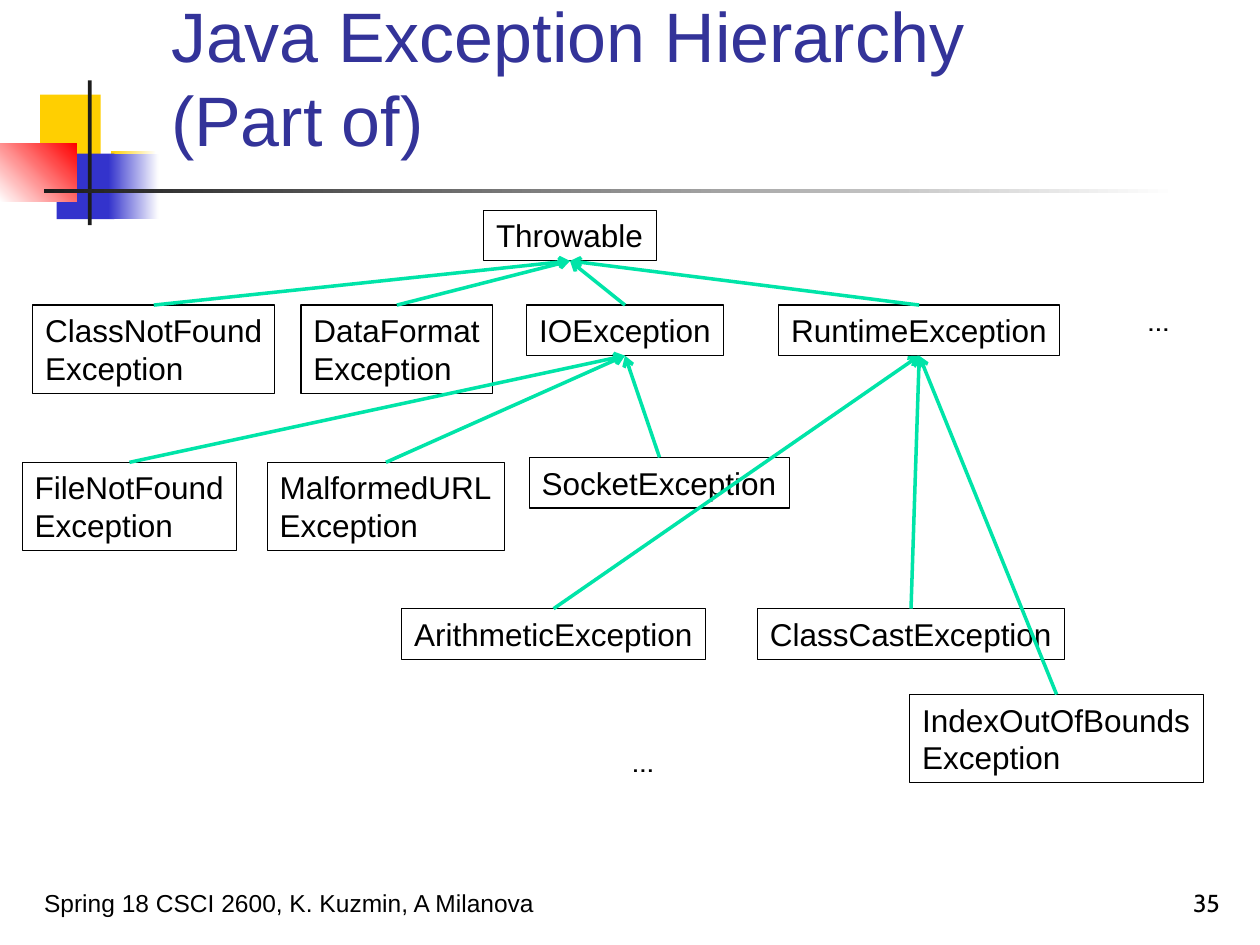
from typing import NamedTuple, Optional

from lxml import etree
from pptx import Presentation
from pptx.dml.color import RGBColor
from pptx.enum.shapes import MSO_CONNECTOR, MSO_SHAPE
from pptx.enum.text import MSO_ANCHOR, MSO_AUTO_SIZE, PP_ALIGN
from pptx.oxml.ns import qn
from pptx.util import Cm, Pt

RECT = MSO_SHAPE.RECTANGLE
STRAIGHT = MSO_CONNECTOR.STRAIGHT
TOP, BOTTOM = MSO_ANCHOR.TOP, MSO_ANCHOR.BOTTOM
LEFT, RIGHT = PP_ALIGN.LEFT, PP_ALIGN.RIGHT
FIT_SHAPE = MSO_AUTO_SIZE.SHAPE_TO_FIT_TEXT

BLACK = RGBColor(0x00, 0x00, 0x00)
WHITE = RGBColor(0xFF, 0xFF, 0xFF)
YELLOW = RGBColor(0xFF, 0xCF, 0x01)
BLUE = RGBColor(0x33, 0x33, 0xCC)
RED = RGBColor(0xFF, 0x00, 0x00)
CHARCOAL = RGBColor(0x1C, 0x1C, 0x1C)
NAVY = RGBColor(0x33, 0x33, 0x99)
GREEN = RGBColor(0x00, 0xE4, 0xA8)

LINE_HEIGHT = 0.76
BOX_PADDING = 0.26
RIGHT_INSET = 0.1
TOP_SITE, BOTTOM_SITE = 0, 2


class Block(NamedTuple):
    left: float
    top: float
    width: float
    height: float
    color: RGBColor
    end: Optional[RGBColor] = None
    angle: float = 0


class Label(NamedTuple):
    text: str
    left: float
    top: float
    width: float
    height: float
    size: float
    font: str = "Arial"
    color: RGBColor = BLACK
    anchor: MSO_ANCHOR = BOTTOM
    align: PP_ALIGN = LEFT
    wrap: bool = True


class ClassBox(NamedTuple):
    name: str
    left: float
    top: float
    width: float
    parent: Optional[str] = None


BLOCKS = [
    Block(0.81, 1.91, 1.22, 1.32, YELLOW),
    Block(2.24, 3.05, 0.91, 1.32, YELLOW, WHITE),
    Block(1.14, 3.1, 1.17, 1.32, BLUE),
    Block(2.18, 3.1, 1.02, 1.32, BLUE, WHITE),
    Block(0, 2.9, 1.55, 1.17, WHITE, RED, 45),
    Block(1.77, 1.62, 0.08, 2.92, CHARCOAL),
    Block(0.89, 3.81, 22.86, 0.08, CHARCOAL, WHITE),
]

LABELS = [
    Label("Java Exception Hierarchy \n(Part of)", 3.2, 0.58, 21.64, 2.79, 40,
          color=NAVY),
    Label("Spring 18 CSCI 2600, K. Kuzmin, A Milanova",
          0.64, 17.35, 13.13, 1.27, 14),
    Label("35", 19.56, 17.35, 5.28, 1.27, 14, "Cabin", align=RIGHT),
    Label("…", 22.89, 5.92, 1.02, 1.02, 18, "Cabin", anchor=TOP, wrap=False),
    Label("…", 12.5, 14.81, 1.02, 1.02, 18, "Cabin", anchor=TOP, wrap=False),
]

CLASSES = [
    ClassBox("Throwable", 9.75, 4.24, 3.48),
    ClassBox("ClassNotFound\nException", 0.66, 6.15, 4.88, "Throwable"),
    ClassBox("DataFormat\nException", 6.07, 6.15, 3.86, "Throwable"),
    ClassBox("IOException", 10.62, 6.15, 3.96, "Throwable"),
    ClassBox("RuntimeException", 15.7, 6.15, 5.66, "Throwable"),
    ClassBox("FileNotFound\nException", 0.45, 9.32, 4.32, "IOException"),
    ClassBox("MalformedURL\nException", 5.39, 9.32, 4.78, "IOException"),
    ClassBox("SocketException", 10.67, 9.22, 5.25, "IOException"),
    ClassBox("ArithmeticException", 8.1, 12.27, 6.12, "RuntimeException"),
    ClassBox("ClassCastException", 15.27, 12.27, 6.19, "RuntimeException"),
    ClassBox("IndexOutOfBounds\nException", 18.34, 14, 5.92, "RuntimeException"),
]


def add_rect(s, left: float, top: float, width: float, height: float):
    sp = s.shapes.add_shape(RECT, Cm(left), Cm(top), Cm(width), Cm(height))
    sp.shadow.inherit = False
    return sp


def add_block(s, block: Block) -> None:
    sp = add_rect(s, *block[:4])
    sp.line.fill.background()
    if block.end is None:
        sp.fill.solid()
        sp.fill.fore_color.rgb = block.color
        return
    sp.fill.gradient()
    sp.fill.gradient_angle = block.angle
    for stop, color in zip(sp.fill.gradient_stops, (block.color, block.end)):
        stop.color.rgb = color


def write(p, text: str, size: float, font: str, color: RGBColor) -> None:
    for i, line in enumerate(text.split("\n")):
        if i:
            p.add_line_break()
        r = p.add_run()
        r.text = line
        r.font.size = Pt(size)
        r.font.name = font
        r.font.color.rgb = color


def add_label(s, label: Label) -> None:
    sp = s.shapes.add_textbox(*(Cm(v) for v in label[1:5]))
    tf = sp.text_frame
    tf.word_wrap = label.wrap
    tf.vertical_anchor = label.anchor
    p = tf.paragraphs[0]
    p.alignment = label.align
    write(p, label.text, label.size, label.font, label.color)


def add_class_box(s, box: ClassBox):
    lines = box.name.count("\n") + 1
    height = lines * LINE_HEIGHT + BOX_PADDING
    sp = add_rect(s, box.left, box.top, box.width, height)
    sp.fill.background()
    sp.line.color.rgb = BLACK
    sp.line.width = Pt(0.75)
    tf = sp.text_frame
    tf.word_wrap = False
    tf.auto_size = FIT_SHAPE
    tf.vertical_anchor = TOP
    tf.margin_right = Cm(RIGHT_INSET)
    p = tf.paragraphs[0]
    p.alignment = LEFT
    write(p, box.name, 18, "Arial", BLACK)
    return sp


def add_arrow(s, child, parent) -> None:
    cxn = s.shapes.add_connector(STRAIGHT, 0, 0, 0, 0)
    cxn.begin_connect(child, TOP_SITE)
    cxn.end_connect(parent, BOTTOM_SITE)
    cxn.line.color.rgb = GREEN
    cxn.line.width = Pt(2)
    etree.SubElement(cxn.line._get_or_add_ln(), qn("a:tailEnd"), type="arrow")
    etree.SubElement(cxn._element.spPr, qn("a:effectLst"))


def main() -> None:
    prs = Presentation()
    prs.slide_width, prs.slide_height = Cm(25.4), Cm(19.05)
    s = prs.slides.add_slide(prs.slide_layouts[6])
    for block in BLOCKS:
        add_block(s, block)
    for label in LABELS:
        add_label(s, label)
    shapes = {box.name: add_class_box(s, box) for box in CLASSES}
    for box in CLASSES:
        if box.parent:
            add_arrow(s, shapes[box.name], shapes[box.parent])
    prs.save("out.pptx")


if __name__ == "__main__":
    main()
